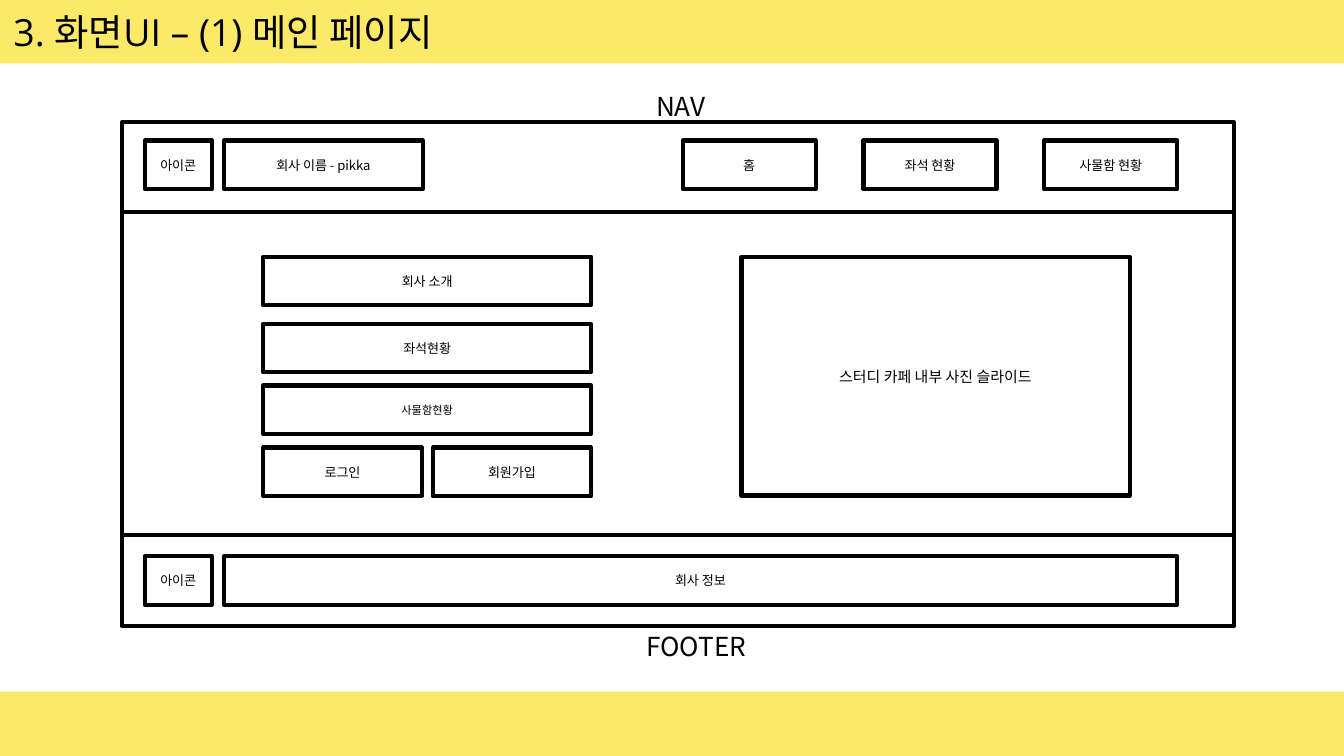
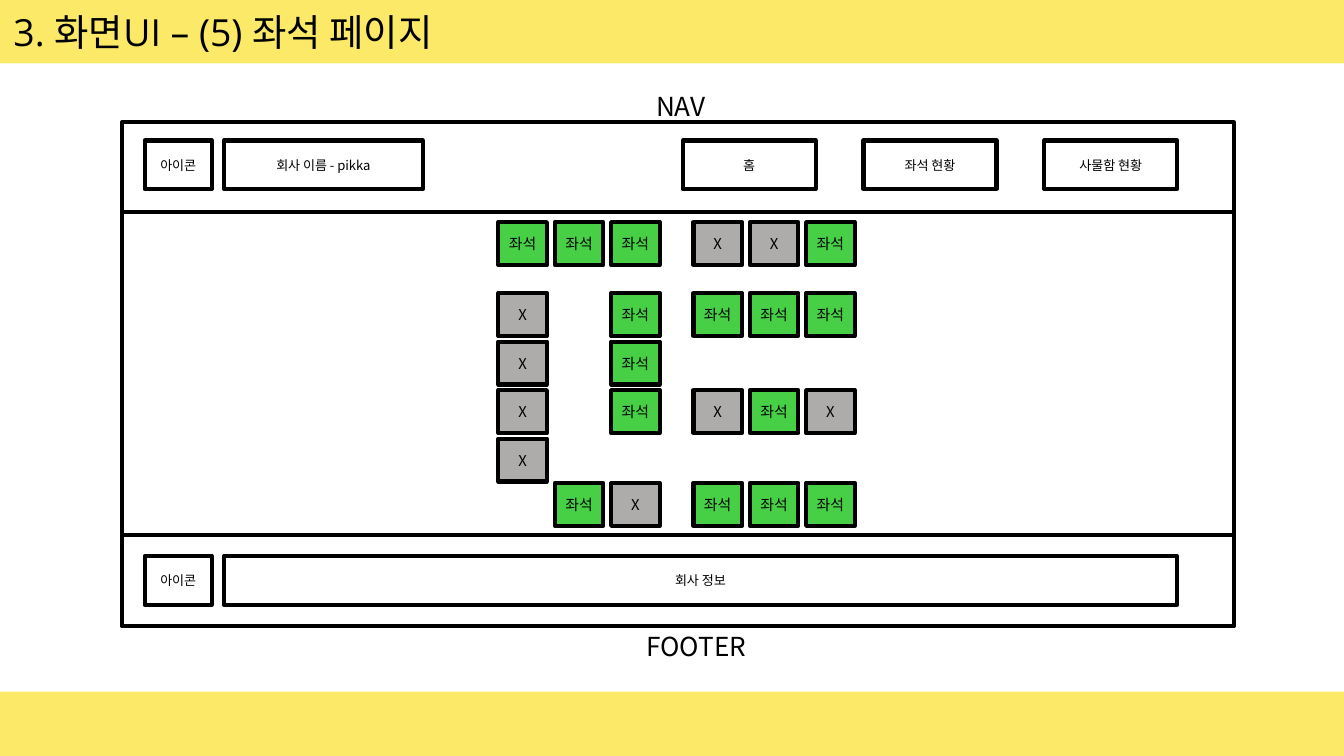
from lxml import etree
from pptx import Presentation
from pptx.dml.color import RGBColor
from pptx.enum.shapes import MSO_SHAPE
from pptx.enum.text import MSO_ANCHOR, MSO_AUTO_SIZE, PP_ALIGN
from pptx.oxml.ns import qn
from pptx.util import Pt

RECT = MSO_SHAPE.RECTANGLE
TOP, MIDDLE = MSO_ANCHOR.TOP, MSO_ANCHOR.MIDDLE
LEFT, CENTER = PP_ALIGN.LEFT, PP_ALIGN.CENTER
NO_FIT = MSO_AUTO_SIZE.NONE

YELLOW = RGBColor(0xFC, 0xE9, 0x68)
GREEN = RGBColor(0x47, 0xD0, 0x46)
GRAY = RGBColor(0xAE, 0xAB, 0xAB)
BLACK = RGBColor(0, 0, 0)

TITLE_FONT = "Open Sans"
BODY_FONT = "Noto Sans CJK KR"
SLIDE_W, SLIDE_H = 720, 405
BAND_H = 34.5
FRAME_X, FRAME_W = 65.5, 595.5
NAV_Y, BODY_Y, FOOTER_Y, FRAME_BOTTOM = 65.5, 113.5, 286.75, 335.25
BOX_H = 26
ICON_X, ICON_W, NAME_X = 77.5, 36, 120
MENU_X, MENU_STEP, MENU_W = 365.75, 96.85, 71.25
LIST_X, LIST_W, HALF_W = 141, 175.75, 85
LIST_Y = 137.5
SEAT_W, SEAT_H, SEAT_STEP = 26, 23, 30.2
SEAT_BLOCKS = (267, 371.5)
SEAT_ROWS = (
    (119, "OOOXXO"),
    (157, "X.OOOO"),
    (183, "X.O..."),
    (209, "X.OXOX"),
    (235, "X....."),
    (258.75, ".OXOOO"),
)
SEATS = {"O": ("좌석", GREEN), "X": ("X", GRAY)}


class Deck:
    def __init__(self):
        self.prs = Presentation()
        self.prs.slide_width, self.prs.slide_height = Pt(SLIDE_W), Pt(SLIDE_H)
        self.s = None

    def put_text(self, sp, text, size, font=BODY_FONT, align=CENTER, anchor=MIDDLE, inset=(4.3, 2.2)):
        tf = sp.text_frame
        dx, dy = map(Pt, inset)
        frame = dict(word_wrap=True, auto_size=NO_FIT, vertical_anchor=anchor,
                     margin_left=dx, margin_right=dx, margin_top=dy, margin_bottom=dy)
        for name, value in frame.items():
            setattr(tf, name, value)
        p = tf.paragraphs[0]
        p.alignment = align
        r = p.add_run()
        r.text = text
        for name, value in dict(size=Pt(size), name=font).items():
            setattr(r.font, name, value)
        r.font.color.rgb = BLACK
        etree.SubElement(r._r.get_or_add_rPr(), qn("a:ea"), typeface=BODY_FONT)

    def shape(self, x, y, w, h, fill=None, outlined=True):
        sp = self.s.shapes.add_shape(RECT, Pt(x), Pt(y), Pt(w), Pt(h))
        sp.shadow.inherit = False
        if fill is None:
            sp.fill.background()
        else:
            sp.fill.solid()
            sp.fill.fore_color.rgb = fill
        if outlined:
            sp.line.color.rgb = BLACK
            sp.line.width = Pt(2.25)
        else:
            sp.line.fill.background()
        return sp

    def box(self, text, x, y, w, h=BOX_H, size=7, fill=None):
        self.put_text(self.shape(x, y, w, h, fill), text, size)

    def label(self, text, x, y, w):
        sp = self.s.shapes.add_textbox(Pt(x), Pt(y), Pt(w), Pt(21.5))
        self.put_text(sp, text, 14, anchor=TOP, inset=(5, 2.75))

    def title(self, text):
        sp = self.s.shapes.title
        for name, value in dict(left=0, top=-0.5, width=SLIDE_W, height=BAND_H).items():
            setattr(sp, name, Pt(value))
        sp.fill.solid()
        sp.fill.fore_color.rgb = YELLOW
        self.put_text(sp, text, 20, TITLE_FONT, LEFT, inset=(7.2, 7.2))

    def page(self, title):
        self.s = self.prs.slides.add_slide(self.prs.slide_layouts[5])
        self.title(title)
        self.shape(0, SLIDE_H - BAND_H, SLIDE_W, BAND_H, YELLOW, outlined=False)
        self.label("NAV", 340, 45.5, 49.5)
        self.label("FOOTER", 340, 335, 66.25)
        for top, bottom in ((BODY_Y, FRAME_BOTTOM), (NAV_Y, BODY_Y), (FOOTER_Y, FRAME_BOTTOM)):
            self.shape(FRAME_X, top, FRAME_W, bottom - top)
        nav_y, footer_y = 75.25, 298
        for y in (nav_y, footer_y):
            self.box("아이콘", ICON_X, y, ICON_W)
        self.box("회사 이름 - pikka", NAME_X, nav_y, 106.5)
        for i, text in enumerate(("홈", "좌석 현황", "사물함 현황")):
            self.box(text, MENU_X + i * MENU_STEP, nav_y, MENU_W)
        self.box("회사 정보", NAME_X, footer_y, 510.5)


def main_page(deck):
    deck.page("3. 화면UI – (1) 메인 페이지")
    for text, y, size in (("회사 소개", LIST_Y, 7), ("좌석현황", 173.5, 7), ("사물함현황", 206.5, 6)):
        deck.box(text, LIST_X, y, LIST_W, size=size)
    for text, x in (("로그인", LIST_X), ("회원가입", LIST_X + LIST_W - HALF_W)):
        deck.box(text, x, 239.75, HALF_W)
    deck.box("스터디 카페 내부 사진 슬라이드", 397.25, LIST_Y, 208, 128, size=8)


def seat_page(deck):
    deck.page("3. 화면UI – (5) 좌석 페이지")
    for y, row in SEAT_ROWS:
        for i, mark in enumerate(row):
            if mark in SEATS:
                text, fill = SEATS[mark]
                block, col = divmod(i, 3)
                deck.box(text, SEAT_BLOCKS[block] + col * SEAT_STEP, y, SEAT_W, SEAT_H, 8, fill)


def main():
    deck = Deck()
    main_page(deck)
    seat_page(deck)
    deck.prs.save("out.pptx")


if __name__ == "__main__":
    main()
